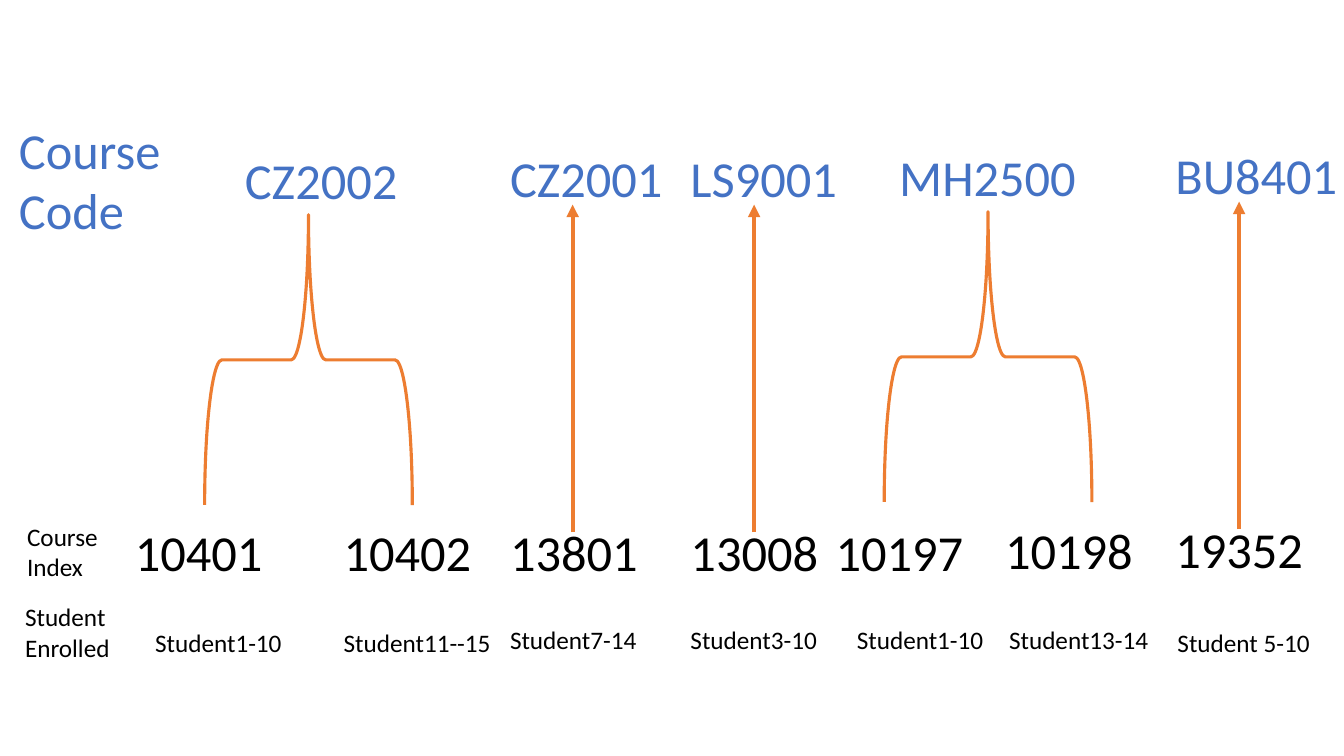
"""Build a slide that links course codes to their indexes and enrolled students."""
from lxml.etree import SubElement
from pptx import Presentation
from pptx.dml.color import RGBColor
from pptx.enum.shapes import MSO_CONNECTOR, MSO_SHAPE
from pptx.enum.text import MSO_AUTO_SIZE
from pptx.oxml.ns import qn
from pptx.util import Inches, Pt

COLOURS = {"code": "4472C4", "text": "000000", "link": "ED7D31"}
FONT = "Calibri"
LARGE, SMALL = 36, 18
NAME_SIZE, STUDENT_SIZE = (2.18, 0.71), (2.65, 0.4)
BRACE_SPAN, BRACE_HEIGHT = 2.06, 2.88
ARROW_LENGTH, ARROW_GAP, BRACE_GAP = 3.25, 0.62, 0.7

ROW_LABELS = [
    (["Course Code"], (0.09, 1.13), (2.4, 1.31), LARGE, "code"),
    (["Course ", "Index"], (0.17, 5.12), NAME_SIZE, SMALL, "text"),
    (["Student ", "Enrolled"], (0.15, 5.92), NAME_SIZE, SMALL, "text"),
]
COURSES = [
    {"code": "CZ2002", "at": (2.33, 1.43), "link_x": 3.06, "groups": [
        ("10401", (1.24, 5.12), "Student1-10", (1.44, 6.17)),
        ("10402", (3.31, 5.12), "Student11--15", (3.31, 6.17))]},
    {"code": "CZ2001", "at": (4.96, 1.41), "link_x": 5.68, "groups": [
        ("13801", (4.96, 5.12), "Student7-14", (4.96, 6.14))]},
    {"code": "LS9001", "at": (6.75, 1.41), "link_x": 7.48, "groups": [
        ("13008", (6.75, 5.12), "Student3-10", (6.75, 6.14))]},
    {"code": "MH2500", "at": (8.82, 1.4), "link_x": 9.8, "groups": [
        ("10197", (8.19, 5.12), "Student1-10", (8.4, 6.14)),
        ("10198", (9.87, 5.1), "Student13-14", (9.91, 6.14))]},
    {"code": "BU8401", "at": (11.56, 1.38), "link_x": 12.29, "groups": [
        ("19352", (11.56, 5.09), "Student 5-10", (11.58, 6.17))]},
]


def add_label(page, lines, position, size, points, colour):
    """Add a text box with one paragraph for each line."""
    box = page.shapes.add_textbox(*map(Inches, position + size))
    frame = box.text_frame
    frame.word_wrap = True
    frame.auto_size = MSO_AUTO_SIZE.SHAPE_TO_FIT_TEXT
    for number, line in enumerate(lines):
        para = frame.add_paragraph() if number else frame.paragraphs[0]
        span = para.add_run()
        span.text = line
        span.font.name = FONT
        span.font.size = Pt(points)
        span.font.color.rgb = RGBColor.from_string(COLOURS[colour])


def style_line(shape, width):
    """Give a link its colour and width."""
    shape.line.color.rgb = RGBColor.from_string(COLOURS["link"])
    shape.line.width = Pt(width)


def add_arrow(page, centre, top):
    """Add an arrow that points up from an index to its course code."""
    arrow = page.shapes.add_connector(
        MSO_CONNECTOR.STRAIGHT, Inches(centre), Inches(top + ARROW_LENGTH),
        Inches(centre), Inches(top))
    style_line(arrow, 3)
    SubElement(arrow.line._get_or_add_ln(), qn("a:tailEnd"), type="triangle")
    SubElement(arrow._element.spPr, qn("a:effectLst"))


def add_brace(page, centre, top):
    """Add a brace that points up from two indexes to their course code."""
    middle = top + BRACE_HEIGHT / 2
    brace = page.shapes.add_shape(
        MSO_SHAPE.RIGHT_BRACE,
        Inches(centre - BRACE_HEIGHT / 2), Inches(middle - BRACE_SPAN / 2),
        Inches(BRACE_HEIGHT), Inches(BRACE_SPAN))
    brace.rotation = 270
    brace.shadow.inherit = False
    brace.fill.background()
    style_line(brace, 2.25)


def add_course(page, course):
    """Add a course code, its link and its groups of students."""
    top = course["at"][1]
    add_label(page, [course["code"]], course["at"], NAME_SIZE, LARGE, "code")
    if len(course["groups"]) > 1:
        add_brace(page, course["link_x"], top + BRACE_GAP)
    else:
        add_arrow(page, course["link_x"], top + ARROW_GAP)
    for index, index_at, students, students_at in course["groups"]:
        add_label(page, [index], index_at, NAME_SIZE, LARGE, "text")
        add_label(page, [students], students_at, STUDENT_SIZE, SMALL, "text")


deck = Presentation()
deck.slide_width, deck.slide_height = Inches(13.33), Inches(7.5)
page = deck.slides.add_slide(deck.slide_layouts.get_by_name("Blank"))
for row_label in ROW_LABELS:
    add_label(page, *row_label)
for course in COURSES:
    add_course(page, course)
deck.save("out.pptx")
